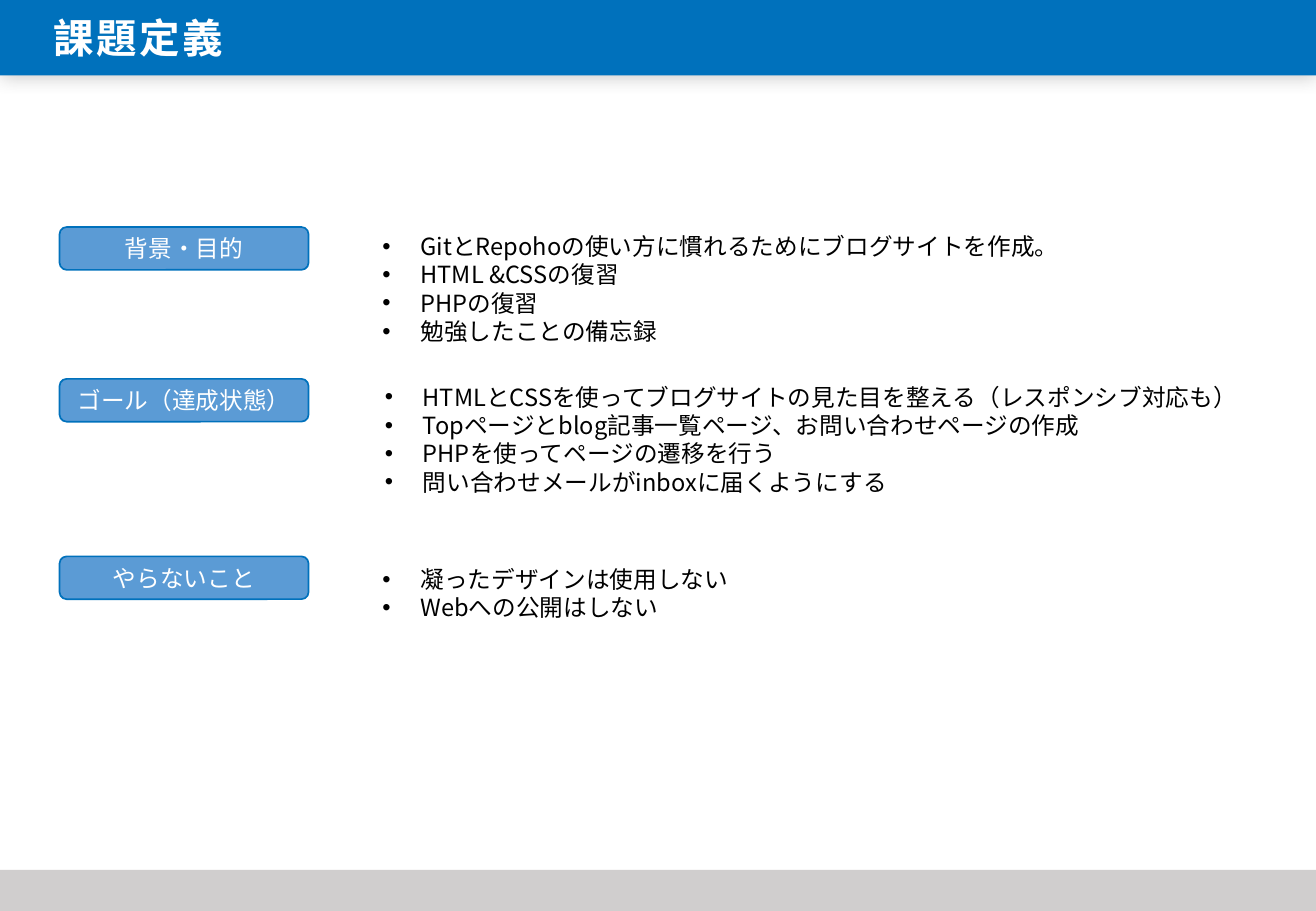
from dataclasses import dataclass

from lxml.etree import SubElement
from pptx import Presentation
from pptx.dml.color import RGBColor
from pptx.enum.shapes import MSO_SHAPE
from pptx.enum.text import MSO_ANCHOR, PP_ALIGN
from pptx.oxml.ns import qn
from pptx.util import Pt

TITLE = "課題定義"
# label, label top, list left, list top, list height, items
SECTIONS = [
    ("背景・目的", 134.6, 219.6, 133.9, 74.9, [
        "GitとRepohoの使い方に慣れるためにブログサイトを作成。",
        "HTML &CSSの復習",
        "PHPの復習",
        "勉強したことの備忘録",
    ]),
    ("ゴール（達成状態）", 224.6, 221, 223.2, 74.9, [
        "HTMLとCSSを使ってブログサイトの見た目を整える（レスポンシブ対応も）",
        "Topページとblog記事一覧ページ、お問い合わせページの作成",
        "PHPを使ってページの遷移を行う",
        "問い合わせメールがinboxに届くようにする",
    ]),
    ("やらないこと", 329.8, 219.6, 331.2, 58.3, [
        "凝ったデザインは使用しない",
        "Webへの公開はしない",
    ]),
]


@dataclass(frozen=True)
class Theme:
    """Colours, font and type sizes of the slide."""
    blue: str = "0071BC"
    label: str = "5B9BD5"
    footer: str = "D0CECE"
    shadow: str = "595959"
    white: str = "FFFFFF"
    black: str = "000000"
    font: str = "Noto Sans CJK JP"
    title_size: float = 24
    body_size: float = 14
    line_height: float = 16.8


T = Theme()
W, H = 780, 540
BANNER_H, FOOTER_H = 44.8, 29.2
LABEL_X, LABEL_W, LABEL_H = 35.3, 147.6, 25.4
LIST_W, INDENT = 524.2, 22.5


def add_box(s, kind, x, y, w, h, fill, line=None):
    """Add a filled preset shape without the default shadow."""
    sp = s.shapes.add_shape(kind, Pt(x), Pt(y), Pt(w), Pt(h))
    sp.shadow.inherit = False
    sp.fill.solid()
    sp.fill.fore_color.rgb = RGBColor.from_string(fill)
    if line:
        sp.line.color.rgb = RGBColor.from_string(line)
        sp.line.width = Pt(1)
    else:
        sp.line.fill.background()
    return sp


def add_shadow(sp):
    """Drop a soft shadow below a shape."""
    effects = sp._element.spPr.find(qn("a:effectLst"))
    shadow = SubElement(effects, qn("a:outerShdw"), blurRad=str(Pt(10)),
                        dist=str(Pt(1)), dir="5400000", algn="t", rotWithShape="0")
    color = SubElement(shadow, qn("a:srgbClr"), val=T.shadow)
    SubElement(color, qn("a:alpha"), val="30000")


def add_bullet(p):
    """Give a paragraph a round bullet with a hanging indent."""
    pPr = p._p.get_or_add_pPr()
    pPr.set("marL", str(Pt(INDENT)))
    pPr.set("indent", str(-Pt(INDENT)))
    SubElement(pPr, qn("a:buFont"), typeface="Arial")
    SubElement(pPr, qn("a:buChar"), char="•")


def write(sp, lines, size=T.body_size, color=T.black, bold=False, spacing=None,
          align=PP_ALIGN.LEFT, anchor=MSO_ANCHOR.TOP, bullets=False, line_height=None):
    """Write one paragraph per line into a shape."""
    tf = sp.text_frame
    tf.word_wrap = True
    tf.vertical_anchor = anchor
    tf.margin_left = tf.margin_right = Pt(7.2)
    tf.margin_top = tf.margin_bottom = Pt(3.6)
    for i, line in enumerate(lines):
        p = tf.add_paragraph() if i else tf.paragraphs[0]
        p.alignment = align
        if line_height:
            p.line_spacing = Pt(line_height)
        if bullets:
            add_bullet(p)
        r = p.add_run()
        r.text = line
        r.font.name = T.font
        r.font.size = Pt(size)
        r.font.bold = bold
        r.font.color.rgb = RGBColor.from_string(color)
        rPr = r._r.get_or_add_rPr()
        if spacing:
            rPr.set("spc", str(int(spacing * 100)))
        ea = SubElement(rPr, qn("a:ea"), typeface=T.font)
        rPr.find(qn("a:latin")).addnext(ea)


def add_title(s):
    """Place the title on a shadowed banner."""
    banner = add_box(s, MSO_SHAPE.RECTANGLE, 0, 0, W, BANNER_H, T.blue)
    add_shadow(banner)
    title = s.shapes.title
    title._element.addprevious(banner._element)
    title.left, title.top, title.width, title.height = Pt(24.5), Pt(4.3), Pt(428.4), Pt(36)
    write(title, [TITLE], size=T.title_size, color=T.white, bold=True, spacing=1.5,
          anchor=MSO_ANCHOR.MIDDLE)


def add_section(s, label, label_y, x, y, h, items):
    """Add a label and the bullet list beside it."""
    tb = s.shapes.add_textbox(Pt(x), Pt(y), Pt(LIST_W), Pt(h))
    write(tb, items, bullets=True, line_height=T.line_height)
    box = add_box(s, MSO_SHAPE.ROUNDED_RECTANGLE, LABEL_X, label_y, LABEL_W, LABEL_H,
                  T.label, T.blue)
    write(box, [label], color=T.white, align=PP_ALIGN.CENTER, anchor=MSO_ANCHOR.MIDDLE)


prs = Presentation()
prs.slide_width, prs.slide_height = Pt(W), Pt(H)
s = prs.slides.add_slide(prs.slide_layouts[5])
add_title(s)
add_box(s, MSO_SHAPE.RECTANGLE, 0, H - FOOTER_H + 4.8, W, FOOTER_H - 4.8, T.footer)
for section in SECTIONS:
    add_section(s, *section)
prs.save("out.pptx")
